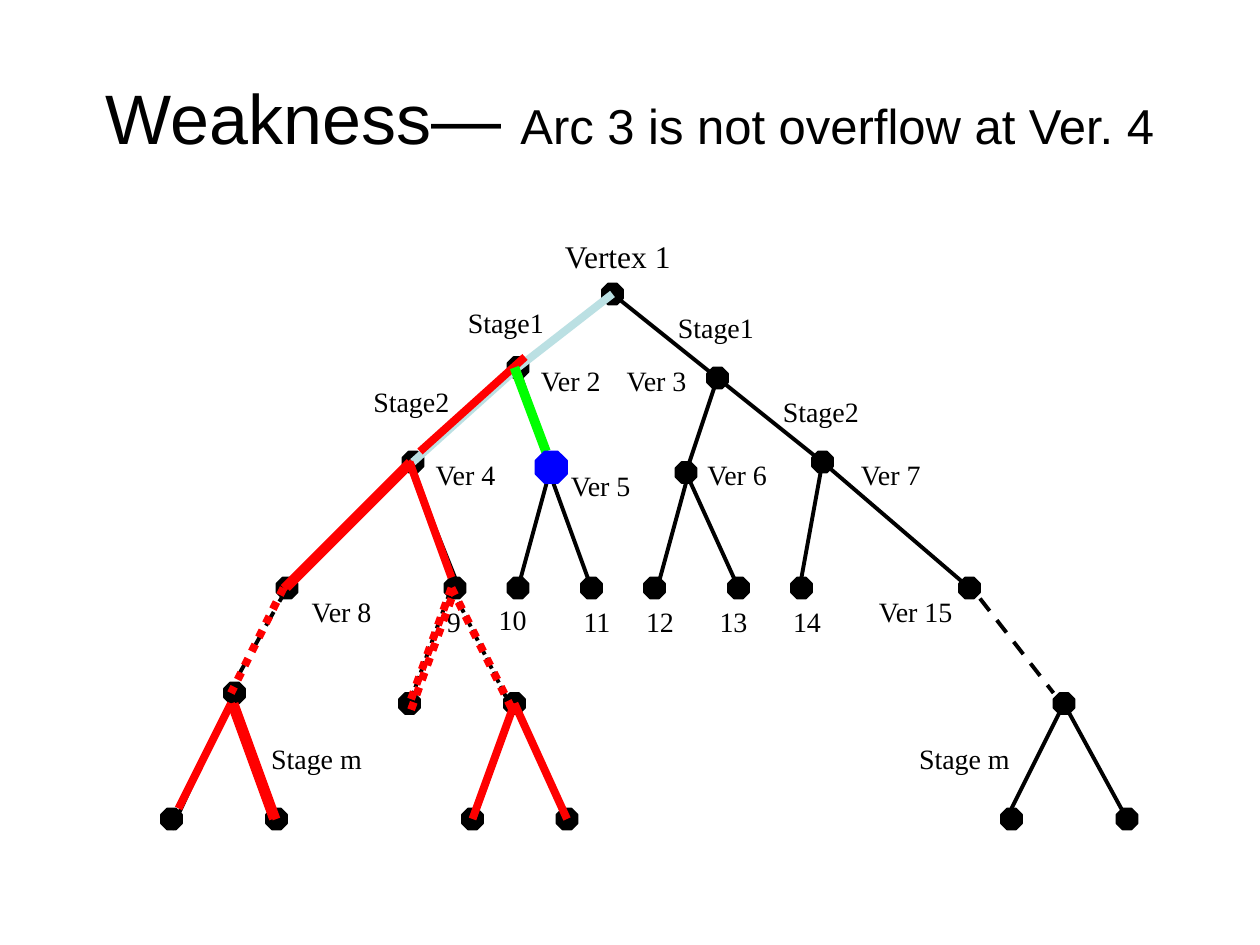
"""Build a slide with a binary search tree and its highlighted paths."""
from dataclasses import dataclass
from typing import Any

from lxml import etree
from pptx import Presentation
from pptx import util as u
from pptx.dml.color import RGBColor
from pptx.enum import dml, shapes, text
from pptx.oxml.ns import qn

COLUMNS, ROWS = 120, 90
WIDTH, HEIGHT = u.Inches(10), u.Inches(7.5)
TREE_SHIFT = 1 / 3
BLACK, RED, PALE, GREEN, BLUE = "000000", "FF0000", "BBE0E3", "00FF00", "0000FF"
DASH, DOT = dml.MSO_LINE.DASH, dml.MSO_LINE.ROUND_DOT
CENTER, LEFT = text.PP_ALIGN.CENTER, text.PP_ALIGN.LEFT

Point = tuple[float, float]


@dataclass(frozen=True)
class Edge:
    """A straight branch between two grid points."""
    start: Point
    end: Point
    color: str = BLACK
    weight: float = 2.25
    dash: Any = None
    shift: float = 0


@dataclass(frozen=True)
class Vertex:
    """An octagon centred on a grid point."""
    center: Point
    color: str = BLACK
    size: float = 2
    shift: float = 0


@dataclass(frozen=True)
class Label:
    """A caption with its left column, top row and width in columns."""
    words: str
    left: float
    top: float
    width: float
    size: float = 16
    align: Any = CENTER


TREE_VERTICES = [
    (58, 28), (49, 35), (68, 36), (39, 44), (52, 45), (65, 45), (78, 44),
    *((column, 56) for column in (27, 43, 49, 56, 62, 70, 76, 92)),
    (22, 66), (101, 67), *((column, 78) for column in (16, 26, 96, 107)),
]
LOWER_VERTICES = [(39, 67), (49, 67), (45, 78), (54, 78)]
TREE_EDGES = [
    ((58, 28), (49, 35)), ((58, 28), (68, 36)),
    ((49, 35), (39, 44)), ((49, 35), (52, 44)),
    ((68, 36), (65, 45)), ((68, 36), (78, 44)),
    ((39, 44), (27, 56)), ((39, 45), (43, 55)),
    ((52, 45), (49, 56)), ((52, 45), (56, 56)),
    ((65, 46), (62, 57)), ((65, 45), (70, 56)),
    ((78, 44), (76, 55)), ((78, 44), (92, 56)),
    ((22, 66), (16, 79)), ((22, 67), (26, 78)),
    ((101, 67), (96, 77)), ((101, 67), (107, 78)),
]
DASHED_EDGES = [((27, 56), (22, 65)), ((93, 57), (100, 66))]
LOWER_EDGES = [((49, 67), (45, 78)), ((49, 67), (54, 78))]
LOWER_DOTTED = [((43, 56), (49, 68)), ((43, 56), (39, 67))]
SHIFTED_RED = [((39, 44), (27, 56)), ((22, 67), (26, 78))]
PALE_PATH = [((49, 35), (39, 44)), ((58, 28), (49, 35))]
RED_PATH = [
    ((22, 67), (17, 77)), ((22, 67), (26, 78)), ((39, 44), (27, 56)),
    *LOWER_EDGES, ((39, 44), (43, 55)), ((50, 34), (40, 43)),
]
RED_DOTTED = [((27, 56), (22, 66)), ((43, 57), (39, 68)), *LOWER_DOTTED]

LABELS = [
    Label("Vertex 1", 51.33, 22, 15, size=18),
    Label("Stage1", 43.13, 28.5, 10.1),
    Label("Stage1", 63.13, 29, 10.1),
    Label("Ver 2", 50.33, 34, 9, align=LEFT),
    Label("Ver 3", 58.13, 34, 8.8),
    Label("Stage2", 34.13, 36, 10.1),
    Label("Stage2", 73.13, 37, 10.1),
    Label("Ver 4", 39.33, 43, 10),
    Label("Ver 5", 52.8, 44, 8.8),
    Label("Ver 6", 65.8, 43, 8.8),
    Label("Ver 7", 80.33, 43, 9),
    Label("Ver 8", 28.13, 56, 8.8),
    Label("9", 39.33, 57, 7.8),
    Label("10", 45.83, 56.8, 6),
    *(Label(words, left, 57, 6) for words, left in
      (("11", 53.86), ("12", 59.86), ("13", 66.86), ("14", 73.86))),
    Label("Ver 15", 82.2, 56, 10),
    Label("Stage m", 24.15, 70, 12),
    Label("Stage m", 85.85, 70, 12),
]


def rgb(value: str) -> RGBColor:
    """Turn a hex string into a colour."""
    return RGBColor.from_string(value)


def across(columns: float) -> int:
    """Turn grid columns into a length."""
    return round(WIDTH * columns / COLUMNS)


def down(rows: float) -> int:
    """Turn grid rows into a length."""
    return round(HEIGHT * rows / ROWS)


def draw_edge(page: Any, edge: Edge) -> None:
    """Draw one branch as a connector."""
    (x1, y1), (x2, y2) = edge.start, edge.end
    line = page.shapes.add_connector(
        shapes.MSO_CONNECTOR.STRAIGHT,
        across(x1 + edge.shift), down(y1), across(x2 + edge.shift), down(y2))
    line.line.color.rgb = rgb(edge.color)
    line.line.width = u.Pt(edge.weight)
    if edge.dash is not None:
        line.line.dash_style = edge.dash
    etree.SubElement(line._element.spPr, qn("a:effectLst"))


def draw_edges(page: Any, pairs: list, **style: Any) -> None:
    """Draw several branches in one style."""
    for start, end in pairs:
        draw_edge(page, Edge(start, end, **style))


def draw_vertex(page: Any, vertex: Vertex) -> None:
    """Draw one octagon around its centre."""
    x, y = vertex.center
    half = vertex.size / 2
    octagon = page.shapes.add_shape(
        shapes.MSO_SHAPE.OCTAGON, across(x + vertex.shift - half),
        down(y - half), across(vertex.size), down(vertex.size))
    octagon.shadow.inherit = False
    octagon.fill.solid()
    octagon.fill.fore_color.rgb = rgb(vertex.color)
    octagon.line.color.rgb = rgb(vertex.color)
    octagon.line.width = u.Pt(1)


def add_span(para: Any, words: str, *, size: float, font: str, color: str = BLACK) -> None:
    """Append formatted text to a paragraph."""
    span = para.add_run()
    span.text = words
    span.font.size = u.Pt(size)
    span.font.name = font
    span.font.color.rgb = rgb(color)


def add_box(page: Any, left: float, top: float, width: float, height: float,
            *, align: Any = CENTER) -> Any:
    """Add a middle-anchored text box and return its paragraph."""
    box = page.shapes.add_textbox(across(left), down(top), across(width), down(height))
    box.text_frame.word_wrap = True
    box.text_frame.vertical_anchor = text.MSO_ANCHOR.MIDDLE
    para = box.text_frame.paragraphs[0]
    para.alignment = align
    return para


def draw_label(page: Any, label: Label) -> None:
    """Draw one caption of the tree."""
    height = 4.8 if label.size > 16 else 4.4
    para = add_box(page, label.left, label.top, label.width, height, align=label.align)
    add_span(para, label.words, size=label.size, font="Times New Roman")


def main() -> None:
    """Build and save the deck."""
    deck = Presentation()
    deck.slide_width, deck.slide_height = WIDTH, HEIGHT
    page = deck.slides.add_slide(deck.slide_layouts[6])

    title = add_box(page, 6, 3.6, 108, 15)
    add_span(title, "Weakness— ", size=40, font="Arial")
    add_span(title, "Arc 3 is not overflow at Ver. 4", size=28, font="Arial")

    draw_edges(page, TREE_EDGES, shift=TREE_SHIFT)
    draw_edges(page, DASHED_EDGES, shift=TREE_SHIFT, dash=DASH)
    draw_edges(page, LOWER_EDGES)
    draw_edges(page, LOWER_DOTTED, dash=DOT)
    for center in TREE_VERTICES:
        draw_vertex(page, Vertex(center, shift=TREE_SHIFT))
    for center in LOWER_VERTICES:
        draw_vertex(page, Vertex(center))
    for label in LABELS:
        draw_label(page, label)

    draw_edges(page, SHIFTED_RED, color=RED, weight=4.5, shift=TREE_SHIFT)
    draw_edges(page, PALE_PATH, color=PALE, weight=4.5, shift=TREE_SHIFT)
    draw_edges(page, RED_DOTTED, color=RED, weight=4.5, dash=DOT)
    draw_edges(page, RED_PATH, color=RED, weight=4.5)
    draw_edge(page, Edge((49, 35), (52, 43), color=GREEN, weight=5.5))
    draw_vertex(page, Vertex((52.5, 44.5), color=BLUE, size=3))
    deck.save("out.pptx")


if __name__ == "__main__":
    main()
